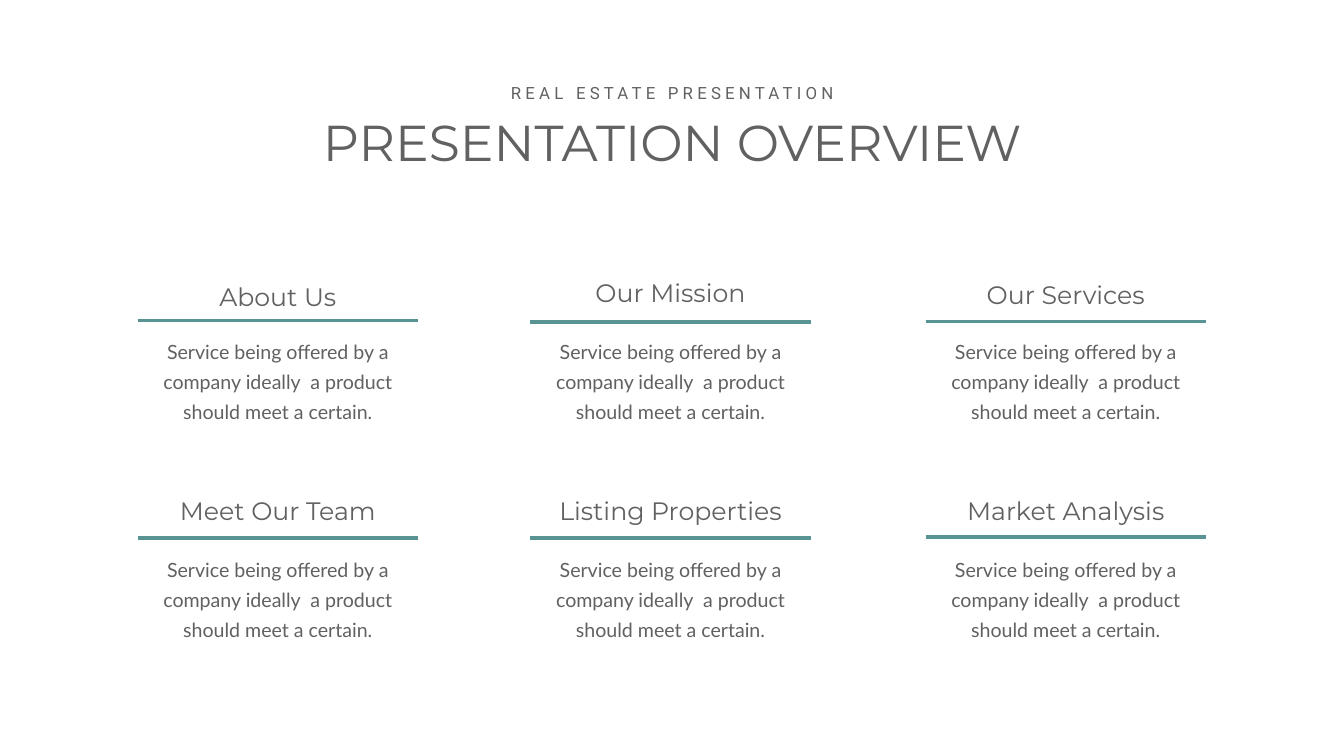
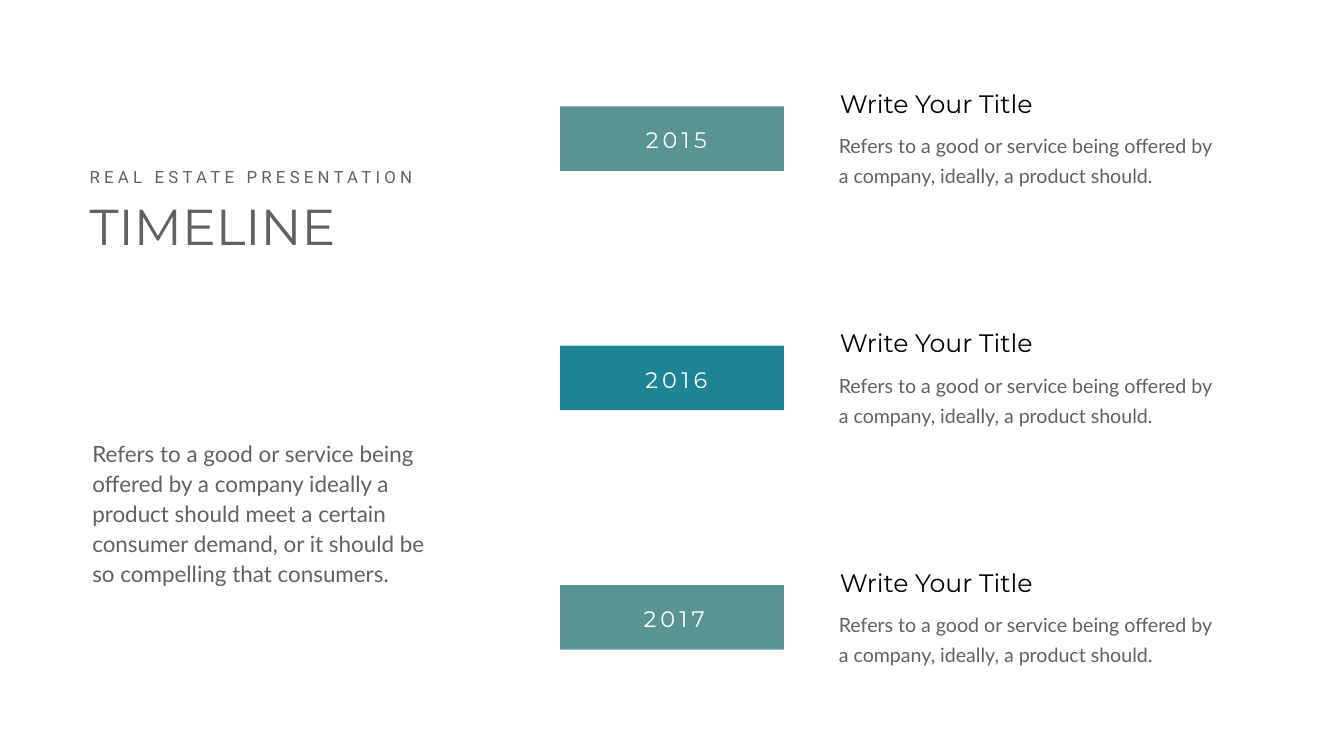
from pptx import Presentation, util as u
from pptx.dml.color import RGBColor
from pptx.enum import shapes, text
from pptx.oxml.ns import qn
from lxml import etree

PX = 9144  # 100 px to the inch
COLORS = {"paper": "FEFFFE", "white": "FFFFFF", "grey": "606160",
          "black": "000000", "sage": "599494", "teal": "1E8395"}
LEFT, CENTER = text.PP_ALIGN.LEFT, text.PP_ALIGN.CENTER
TAGLINE = "REAL ESTATE PRESENTATION"
SERVICE = "Service being offered by a company ideally  a product should meet a certain."
REFERS = "Refers to a good or service being offered by a company, ideally, a product should."
COMPELLING = ("Refers to a good or service being offered by a company ideally a product "
              "should meet a certain consumer demand, or it should be so compelling "
              "that consumers.")


def px(*lengths):
    return [u.Emu(n * PX) for n in lengths]


def rgb(name):
    return RGBColor.from_string(COLORS[name])


def write(sp, words, size, font, color="grey", align=LEFT, spacing=None,
          leading=None, inset=(10, 5)):
    """Fill a shape with one formatted paragraph; spacing is in points."""
    tf = sp.text_frame
    tf.word_wrap = True
    tf.auto_size = text.MSO_AUTO_SIZE.SHAPE_TO_FIT_TEXT
    tf.vertical_anchor = text.MSO_ANCHOR.TOP
    tf.margin_left, tf.margin_top = tf.margin_right, tf.margin_bottom = px(*inset)
    p = tf.paragraphs[0]
    p.alignment = align
    if leading:
        p.line_spacing = u.Pt(leading)
    r = p.add_run()
    r.text = words
    r.font.size, r.font.name = u.Pt(size), font
    r.font.color.rgb = rgb(color)
    if spacing:
        r.font._element.set("spc", str(spacing * 100))


def add_text(s, box, words, size, font, **style):
    write(s.shapes.add_textbox(*px(*box)), words, size, font, **style)


def add_body(s, box, words, size=28, align=LEFT):
    add_text(s, box, words, size, "Lato", align=align, leading=43, inset=(24, 12))


def add_rule(s, x, y, w):
    line = s.shapes.add_connector(shapes.MSO_CONNECTOR.STRAIGHT, *px(x, y, x + w, y))
    line.line.color.rgb = rgb("sage")
    line.line.width = u.Pt(5.5)
    etree.SubElement(line._element.spPr, qn("a:effectLst"))


def add_slide(prs, paper):
    s = prs.slides.add_slide(prs.slide_layouts.get_by_name("Title Only"))
    s.background.fill.solid()
    s.background.fill.fore_color.rgb = rgb(paper)
    return s


def add_heading(s, title, title_box, tag_box, align):
    sp = s.shapes.title
    sp.left, sp.top, sp.width, sp.height = px(*title_box)
    write(sp, title, 72, "Montserrat", align=align)
    add_text(s, tag_box, TAGLINE, 24, "Roboto", align=align, spacing=6)


def add_topic(s, x, y, title, title_rise, rule_rise):
    """Place a topic whose body starts at x, y; the rises are measured up from y."""
    w, title_w = 556, 508
    add_text(s, (x + (w - title_w) // 2, y - title_rise, title_w, 71), title, 36,
             "Montserrat", align=CENTER)
    add_rule(s, x, y - rule_rise, w)
    add_body(s, (x, y, w, 200), SERVICE, align=CENTER)


def add_event(s, x, y, year, color, label_x):
    """Place a year bar at x, y with its title and text to the right."""
    bar = s.shapes.add_shape(shapes.MSO_SHAPE.RECTANGLE, *px(x, y, 444, 128))
    bar.shadow.inherit = False
    bar.fill.solid()
    bar.fill.fore_color.rgb = rgb(color)
    bar.line.fill.background()
    add_text(s, (x + label_x, y + 35, 209, 64), year, 32, "Montserrat",
             color="paper", align=CENTER, spacing=6)
    add_text(s, (x + 545, y - 41, 422, 71), "Write Your Title", 36, "Montserrat",
             color="black")
    add_body(s, (x + 529, y + 30, 809, 139), REFERS)


def overview_slide(prs):
    s = add_slide(prs, "paper")
    add_heading(s, "PRESENTATION OVERVIEW", (578, 215, 1511, 131),
                (983, 160, 701, 50), CENTER)
    columns = (273, 1052, 1836)
    rows = {
        649: (("About Us", 96, 13), ("Our Mission", 103, 10), ("Our Services", 99, 11)),
        1082: (("Meet Our Team", 105, 15), ("Listing Properties", 105, 15),
               ("Market Analysis", 105, 16)),
    }
    for y, topics in rows.items():
        for x, topic in zip(columns, topics):
            add_topic(s, x, y, *topic)


def timeline_slide(prs):
    s = add_slide(prs, "white")
    add_heading(s, "TIMELINE", (168, 383, 856, 131), (168, 326, 701, 50), LEFT)
    add_body(s, (159, 854, 710, 320), COMPELLING, size=32)
    events = (("2015", "sage", 126), ("2016", "teal", 126), ("2017", "sage", 122))
    for i, event in enumerate(events):
        add_event(s, 1111, 211 + 475 * i, *event)


def main():
    prs = Presentation()
    prs.slide_width, prs.slide_height = px(2666, 1500)
    overview_slide(prs)
    timeline_slide(prs)
    prs.save("out.pptx")


if __name__ == "__main__":
    main()
